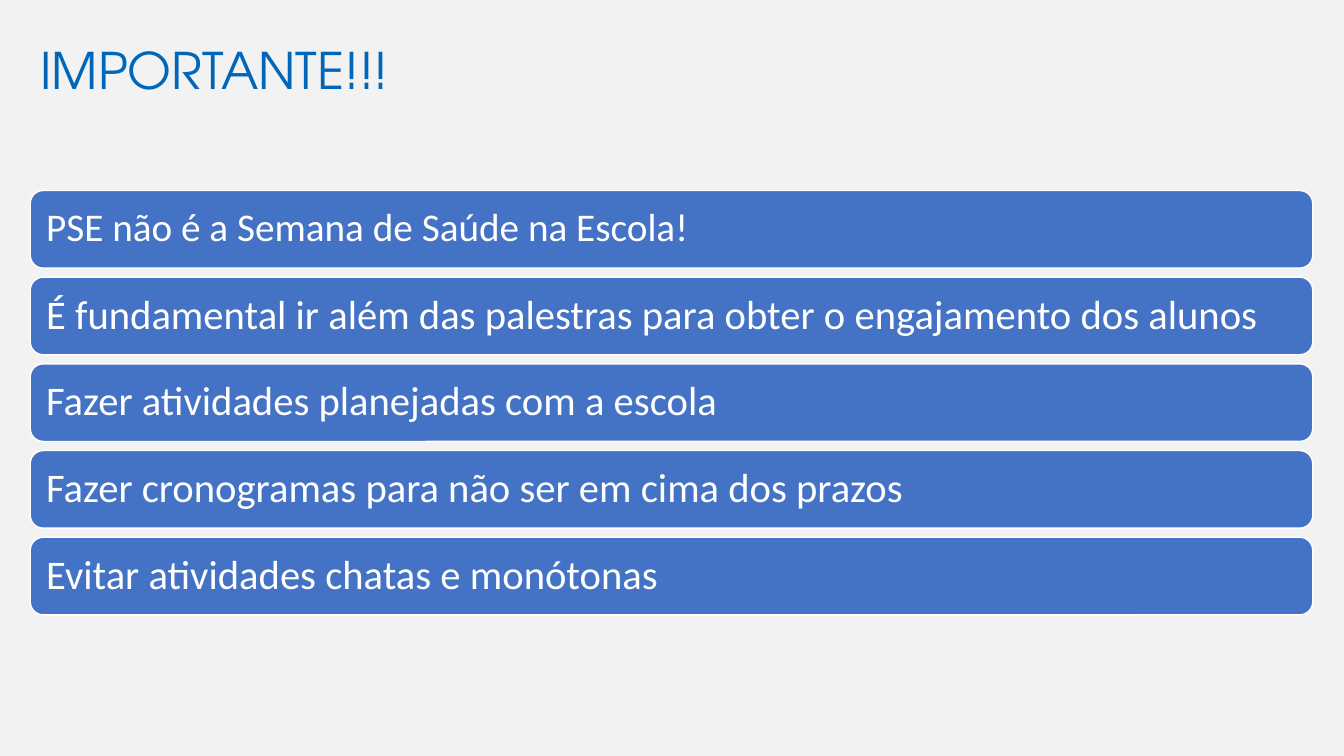
"""Build the slide of key reminders for the school health programme."""
from dataclasses import dataclass

from pptx import Presentation
from pptx.dml.color import RGBColor as RGB
from pptx.enum.shapes import MSO_SHAPE as Shape
from pptx.enum.text import MSO_ANCHOR as Anchor, MSO_AUTO_SIZE as Fit, PP_ALIGN as Align
from pptx.util import Inches, Pt


@dataclass(frozen=True)
class Theme:
    back: RGB = RGB(0xF2, 0xF2, 0xF2)
    title: RGB = RGB(0x00, 0x66, 0xB9)
    bar: RGB = RGB(0x44, 0x72, 0xC4)
    white: RGB = RGB(0xFF, 0xFF, 0xFF)
    head: str = "TeX Gyre Adventor"
    body: str = "Calibri"
    big: int = 36
    mid: int = 29
    small: int = 28


def apply(item, style):
    for key, value in style.items():
        setattr(item, key, value)


class Deck:
    def __init__(self, theme):
        self.theme = theme
        self.show = Presentation()
        apply(self.show, {"slide_width": Inches(13.33), "slide_height": Inches(7.5)})
        self.slide = self.show.slides.add_slide(self.show.slide_layouts[5])
        fill = self.slide.background.fill
        fill.solid()
        fill.fore_color.rgb = theme.back

    def label(self, shape, text, frame, align, font, color):
        box = shape.text_frame
        box.text = text
        apply(box, {"word_wrap": True, "auto_size": Fit.NONE,
                    "vertical_anchor": Anchor.MIDDLE, **frame})
        para = box.paragraphs[0]
        apply(para, {"alignment": align, "line_spacing": 0.9})
        run = para.runs[0]
        apply(run.font, font)
        run.font.color.rgb = color

    def title(self, text, left, top, width, height):
        shape = self.slide.shapes.title
        apply(shape, {"left": Inches(left), "top": Inches(top),
                      "width": Inches(width), "height": Inches(height)})
        look = self.theme
        self.label(shape, text, {}, Align.LEFT,
                   {"name": look.head, "size": Pt(look.big)}, look.title)

    def bar(self, text, size, left, top, width, height):
        look = self.theme
        shape = self.slide.shapes.add_shape(
            Shape.ROUNDED_RECTANGLE, Inches(left), Inches(top), Inches(width), Inches(height))
        shape.shadow.inherit = False
        shape.fill.solid()
        shape.fill.fore_color.rgb = look.bar
        shape.line.color.rgb = look.white
        shape.line.width = Pt(1)
        sides = ("left", "top", "right", "bottom")
        frame = {f"margin_{side}": Inches(0.12) for side in sides}
        self.label(shape, text, frame, Align.JUSTIFY,
                   {"name": look.body, "size": Pt(size)}, look.white)


def main():
    theme = Theme()
    deck = Deck(theme)
    left, width = 0.3, 12.72
    deck.title("IMPORTANTE!!!", left, 0.13, width, 1.2)
    points = [
        ("PSE não é a Semana de Saúde na Escola!", theme.small),
        ("É fundamental ir além das palestras para obter o engajamento dos alunos", theme.mid),
        ("Fazer atividades planejadas com a escola", theme.mid),
        ("Fazer cronogramas para não ser em cima dos prazos", theme.mid),
        ("Evitar atividades chatas e monótonas", theme.mid),
    ]
    first, step = 1.89, 0.86
    for row, (text, size) in enumerate(points):
        deck.bar(text, size, left, first + row * step, width, 0.77)
    deck.show.save("out.pptx")


if __name__ == "__main__":
    main()
